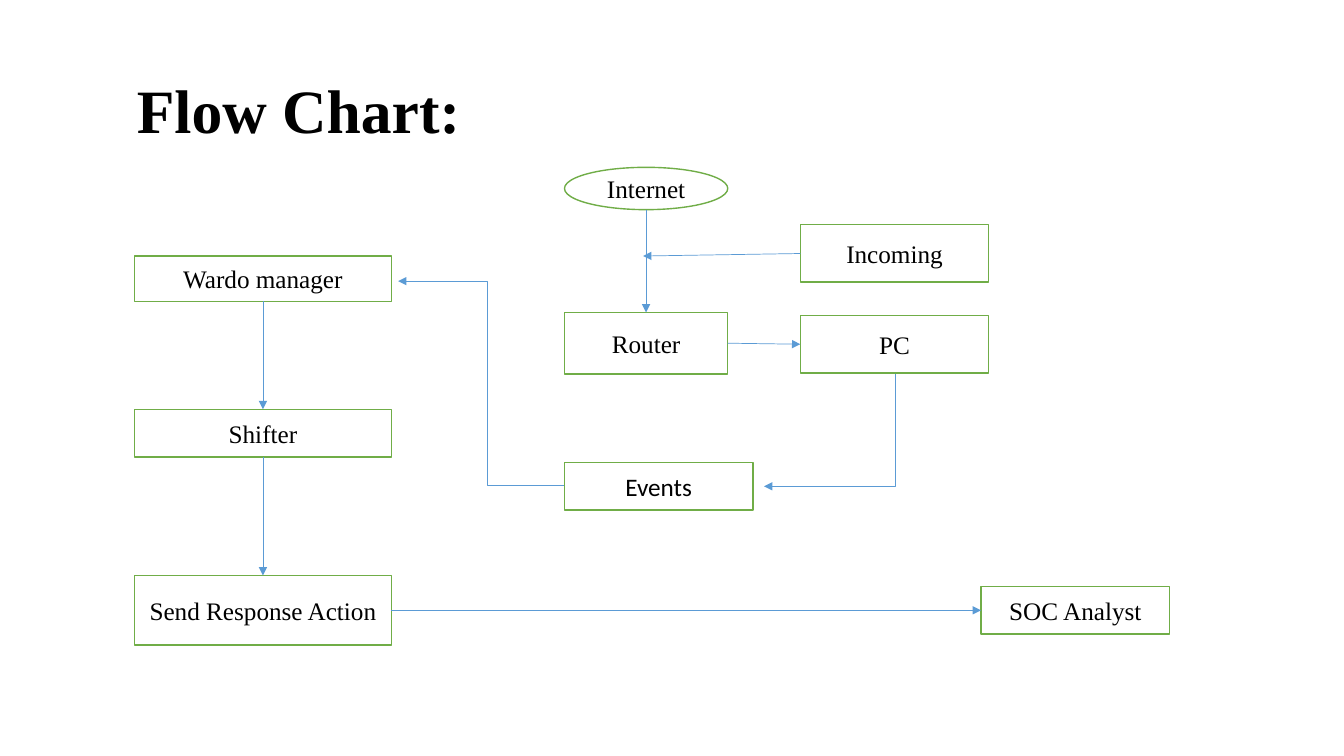
from dataclasses import dataclass
from typing import Optional

from lxml import etree
from pptx import Presentation
from pptx.dml.color import RGBColor
from pptx.enum.shapes import MSO_CONNECTOR, MSO_SHAPE
from pptx.enum.text import MSO_ANCHOR, PP_ALIGN
from pptx.oxml.ns import qn
from pptx.util import Inches, Pt

RECTANGLE = MSO_SHAPE.RECTANGLE
OVAL = MSO_SHAPE.OVAL
STRAIGHT = MSO_CONNECTOR.STRAIGHT
ELBOW = MSO_CONNECTOR.ELBOW
MIDDLE = MSO_ANCHOR.MIDDLE
LEFT = PP_ALIGN.LEFT
CENTER = PP_ALIGN.CENTER
TOP_SIDE, LEFT_SIDE, BOTTOM_SIDE, RIGHT_SIDE = range(4)

COLUMNS, ROWS = 40, 30
PAGE_WIDTH, PAGE_HEIGHT = Inches(40 / 3), Inches(7.5)


@dataclass(frozen=True)
class Theme:
    text: RGBColor = RGBColor(0x00, 0x00, 0x00)
    fill: RGBColor = RGBColor(0xFF, 0xFF, 0xFF)
    outline: RGBColor = RGBColor(0x70, 0xAD, 0x47)
    arrow: RGBColor = RGBColor(0x5B, 0x9B, 0xD5)
    serif: str = "Times New Roman"
    sans: str = "Calibri"
    title_size: Pt = Pt(44)
    step_size: Pt = Pt(18)
    outline_width: Pt = Pt(1)
    arrow_width: Pt = Pt(0.5)


THEME = Theme()


@dataclass(frozen=True)
class Step:
    label: str
    column: float
    row: float
    width: float
    height: float
    preset: int = RECTANGLE
    font: str = THEME.serif


@dataclass(frozen=True)
class Link:
    source: str
    source_side: int
    target: Optional[str] = None
    target_side: int = LEFT_SIDE
    target_point: tuple[float, float] = (0, 0)


@dataclass(frozen=True)
class Bend:
    begin: tuple[float, float]
    end: tuple[float, float]
    preset: str
    arrow_end: str


ACTIONS, NETWORK, DEVICES, ANALYST = 4, 16.8, 23.82, 29.2
WIDE, MEDIUM, NARROW = 7.65, 5.61, 4.86

STEPS = [
    Step("Wardo manager", ACTIONS, 10.16, WIDE, 1.8),
    Step("Shifter", ACTIONS, 16.24, WIDE, 1.9),
    Step("PC", DEVICES, 12.52, MEDIUM, 2.28),
    Step("SOC Analyst", ANALYST, 23.28, MEDIUM, 1.88),
    Step("Router", NETWORK, 12.4, NARROW, 2.44),
    Step("Send Response Action", ACTIONS, 22.84, WIDE, 2.76),
    Step("Internet", NETWORK, 6.64, NARROW, 1.68, preset=OVAL),
    Step("Events", NETWORK, 18.36, MEDIUM, 1.88, font=THEME.sans),
    Step("Incoming", DEVICES, 8.92, MEDIUM, 2.28),
]

LINKS = [
    Link("Internet", BOTTOM_SIDE, "Router", TOP_SIDE),
    Link("Send Response Action", RIGHT_SIDE, "SOC Analyst"),
    Link("Wardo manager", BOTTOM_SIDE, "Shifter", TOP_SIDE),
    Link("Shifter", BOTTOM_SIDE, "Send Response Action", TOP_SIDE),
    Link("Router", RIGHT_SIDE, "PC"),
    Link("Incoming", LEFT_SIDE, target_point=(19.14, 10.16)),
]

BENDS = [
    Bend((17.19, 19.28), (11.85, 11.16), "bentConnector3", "a:tailEnd"),
    Bend((22.74, 19.3), (26.64, 14.8), "bentConnector2", "a:headEnd"),
]


def across(columns: float) -> int:
    return round(PAGE_WIDTH * columns / COLUMNS)


def down(rows: float) -> int:
    return round(PAGE_HEIGHT * rows / ROWS)


def write(frame, text: str, font: str, size: Pt, align: int, bold: bool = False):
    frame.word_wrap = True
    frame.vertical_anchor = MIDDLE
    para = frame.paragraphs[0]
    para.alignment = align
    span = para.add_run()
    span.text = text
    span.font.name = font
    span.font.size = size
    span.font.bold = bold
    span.font.color.rgb = THEME.text
    return para


def add_title(page, text: str) -> None:
    box = page.shapes.add_textbox(across(3.78), down(1.6), across(32.19), down(5.8))
    para = write(box.text_frame, text, THEME.serif, THEME.title_size, LEFT, bold=True)
    para.line_spacing = 0.9


def add_step(page, step: Step):
    box = page.shapes.add_shape(
        step.preset, across(step.column), down(step.row), across(step.width), down(step.height)
    )
    box.shadow.inherit = False
    box.fill.solid()
    box.fill.fore_color.rgb = THEME.fill
    box.line.color.rgb = THEME.outline
    box.line.width = THEME.outline_width
    write(box.text_frame, step.label, step.font, THEME.step_size, CENTER)
    return box


def style_arrow(connector, arrow_end: str = "a:tailEnd") -> None:
    connector.line.color.rgb = THEME.arrow
    connector.line.width = THEME.arrow_width
    properties = connector._element.spPr
    outline = properties.find(qn("a:ln"))
    etree.SubElement(outline, qn(arrow_end), type="triangle")
    etree.SubElement(properties, qn("a:effectLst"))


def add_link(page, link: Link, boxes: dict) -> None:
    column, row = link.target_point
    connector = page.shapes.add_connector(STRAIGHT, 0, 0, across(column), down(row))
    connector.begin_connect(boxes[link.source], link.source_side)
    if link.target:
        connector.end_connect(boxes[link.target], link.target_side)
    style_arrow(connector)


def add_bend(page, bend: Bend) -> None:
    (begin_column, begin_row), (end_column, end_row) = bend.begin, bend.end
    connector = page.shapes.add_connector(
        ELBOW, across(begin_column), down(begin_row), across(end_column), down(end_row)
    )
    connector._element.spPr.find(qn("a:prstGeom")).set("prst", bend.preset)
    style_arrow(connector, bend.arrow_end)


def main() -> None:
    deck = Presentation()
    deck.slide_width, deck.slide_height = PAGE_WIDTH, PAGE_HEIGHT
    page = deck.slides.add_slide(deck.slide_layouts[6])
    add_title(page, "Flow Chart:")
    for bend in BENDS:
        add_bend(page, bend)
    boxes = {step.label: add_step(page, step) for step in STEPS}
    for link in LINKS:
        add_link(page, link, boxes)
    deck.save("out.pptx")


if __name__ == "__main__":
    main()
